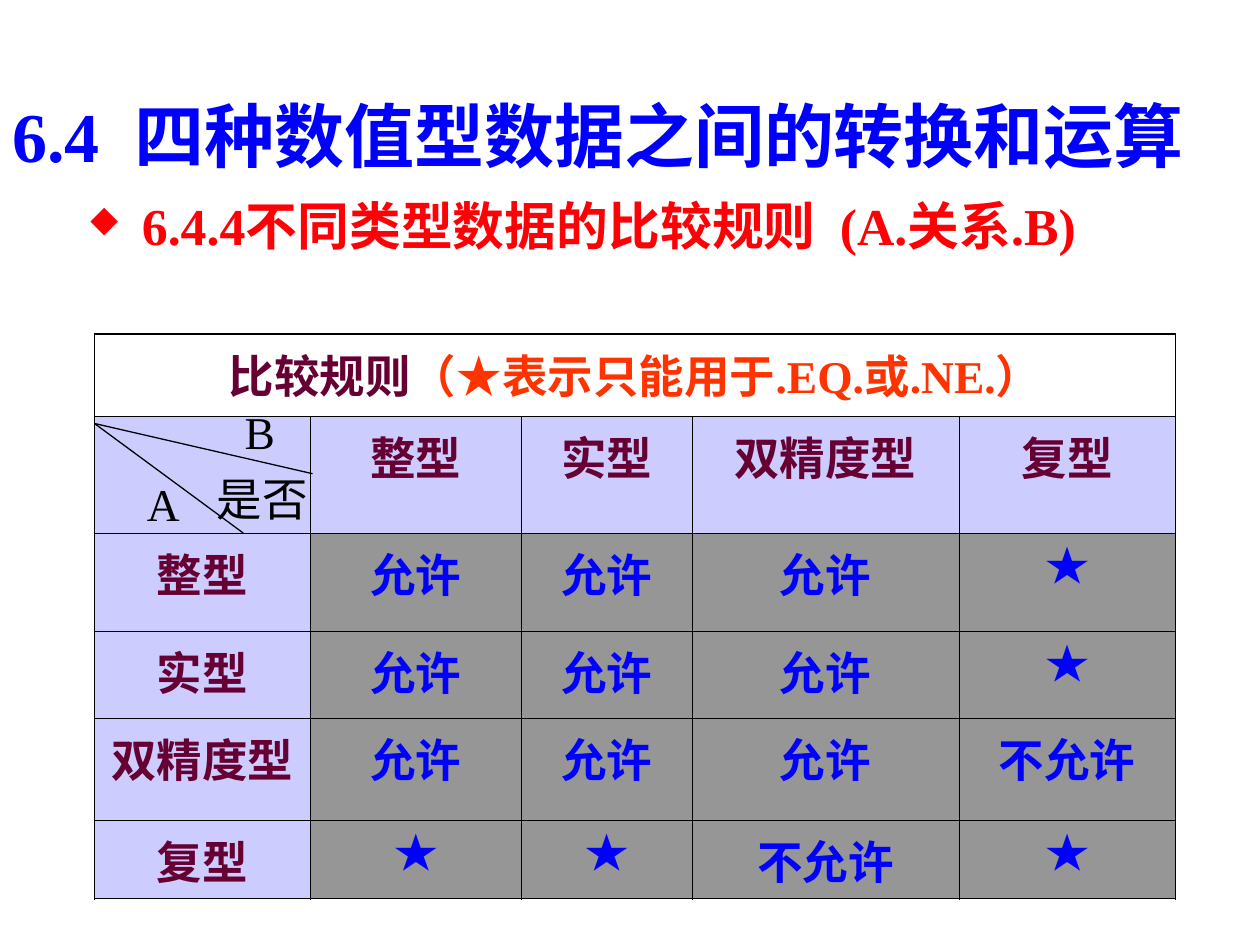
from lxml.etree import SubElement as Sub
from pptx import Presentation
from pptx.dml.color import RGBColor
from pptx.enum.shapes import MSO_CONNECTOR as Conn
from pptx.enum.text import MSO_ANCHOR as Anchor, PP_ALIGN as Align
from pptx.oxml.ns import qn
from pptx.util import Pt

BLUE = RGBColor(0x00, 0x00, 0xFF)
RED = RGBColor(0xFF, 0x00, 0x06)
ORANGE = RGBColor(0xFF, 0x33, 0x00)
WINE = RGBColor(0x66, 0x00, 0x33)
BLACK = RGBColor(0x00, 0x00, 0x00)
LILAC = RGBColor(0xCC, 0xCC, 0xFF)
GRAY = RGBColor(0x96, 0x96, 0x96)
FACE = "Times New Roman"
SIZE = 26
THIN, THICK = 0.45, 1.08

# Content
TITLE = "6.4  四种数值型数据之间的转换和运算"
TOPIC = " 6.4.4不同类型数据的比较规则  (A.关系.B)"
CAPTION = [("比较规则", WINE), ("（★表示只能用于.EQ.或.NE.）", ORANGE)]
ROWS = [
    ["", "整型", "实型", "双精度型", "复型"],
    ["整型", "允许", "允许", "允许", "★"],
    ["实型", "允许", "允许", "允许", "★"],
    ["双精度型", "允许", "允许", "允许", "不允许"],
    ["复型", "★", "★", "不允许", "★"],
]
WIDTHS = [123.2, 121, 97.2, 152.6, 123.8]
HEIGHTS = [46.8, 67, 56.2, 49.7, 58.3, 44.6]
LEFT, TOP = 54, 191

# Corner cell: labels as text, left, top, width, height; line ends
LABELS = [("A", 72.3, 266.5, 42, 42), ("B", 127.5, 225.5, 42, 42),
          ("是否", 110, 270.7, 80, 28)]
START = (LEFT, 242)
ENDS = [(139, 304.6), (178.6, 270.7)]


def style(run, size, color, bold=True):
    font = run.font
    font.name, font.size, font.bold = FACE, Pt(size), bold
    font.color.rgb = color


def add_text(text, box, size, color, bold=True, wrap=True,
             anchor=Anchor.MIDDLE, align=Align.LEFT):
    frame = slide.shapes.add_textbox(*map(Pt, box)).text_frame
    frame.word_wrap = wrap
    frame.vertical_anchor = anchor
    frame.text = text
    para = frame.paragraphs[0]
    para.alignment = align
    style(para.runs[0], size, color, bold)
    return para


def add_edges(cell, row, col):
    last_row, last_col = len(HEIGHTS) - 1, len(WIDTHS) - 1
    outer = {"L": col == 0, "R": col == last_col,
             "T": row == 0, "B": row == last_row}
    props = cell._tc.get_or_add_tcPr()
    for side, thick in outer.items():
        line = Sub(props, qn(f"a:ln{side}"),
                   w=str(Pt(THICK if thick else THIN)))
        fill = Sub(line, qn("a:solidFill"))
        Sub(fill, qn("a:srgbClr"), val=str(BLACK))


def fill_cell(cell, parts):
    para = cell.text_frame.paragraphs[0]
    para.alignment = Align.CENTER
    para.space_before = Pt(6.5)
    for text, color in parts:
        run = para.add_run()
        run.text = text
        style(run, SIZE, color)


deck = Presentation()
deck.slide_width, deck.slide_height = Pt(720), Pt(540)
slide = deck.slides.add_slide(deck.slide_layouts[6])

# Title and topic
add_text(TITLE, (0, 31.7, 720, 90), 40, BLUE)
topic = add_text(TOPIC, (36.7, 116.6, 657.4, 45.4), 29.6, RED,
                 anchor=Anchor.TOP)
topic.line_spacing = 0.7
props = topic._p.get_or_add_pPr()
props.set("marL", str(Pt(29.9)))
props.set("indent", str(Pt(-22)))
Sub(Sub(props, qn("a:buClr")), qn("a:srgbClr"), val=str(RED))
Sub(props, qn("a:buSzPct"), val="70000")
Sub(props, qn("a:buChar"), char="◆")

# Rule table
table = slide.shapes.add_table(
    len(HEIGHTS), len(WIDTHS), Pt(LEFT), Pt(TOP),
    Pt(sum(WIDTHS)), Pt(sum(HEIGHTS))).table
table.first_row = table.horz_banding = False
for column, width in zip(table.columns, WIDTHS):
    column.width = Pt(width)
for line, height in zip(table.rows, HEIGHTS):
    line.height = Pt(height)

for col in range(len(WIDTHS)):
    cell = table.cell(0, col)
    add_edges(cell, 0, col)
    cell.fill.background()
table.cell(0, 0).merge(table.cell(0, len(WIDTHS) - 1))
fill_cell(table.cell(0, 0), CAPTION)

for row, texts in enumerate(ROWS, 1):
    for col, text in enumerate(texts):
        cell = table.cell(row, col)
        head = row == 1 or col == 0
        add_edges(cell, row, col)
        cell.fill.solid()
        cell.fill.fore_color.rgb = LILAC if head else GRAY
        if text:
            fill_cell(cell, [(text, WINE if head else BLUE)])

# Corner labels and dividing lines
for text, *box in LABELS:
    add_text(text, box, SIZE, BLACK, bold=False, wrap=False,
             align=Align.CENTER)
for end in ENDS:
    line = slide.shapes.add_connector(Conn.STRAIGHT, *map(Pt, START + end))
    line.line.color.rgb = BLACK
    line.line.width = Pt(0.75)
    Sub(line._element.spPr, qn("a:effectLst"))

deck.save("out.pptx")
